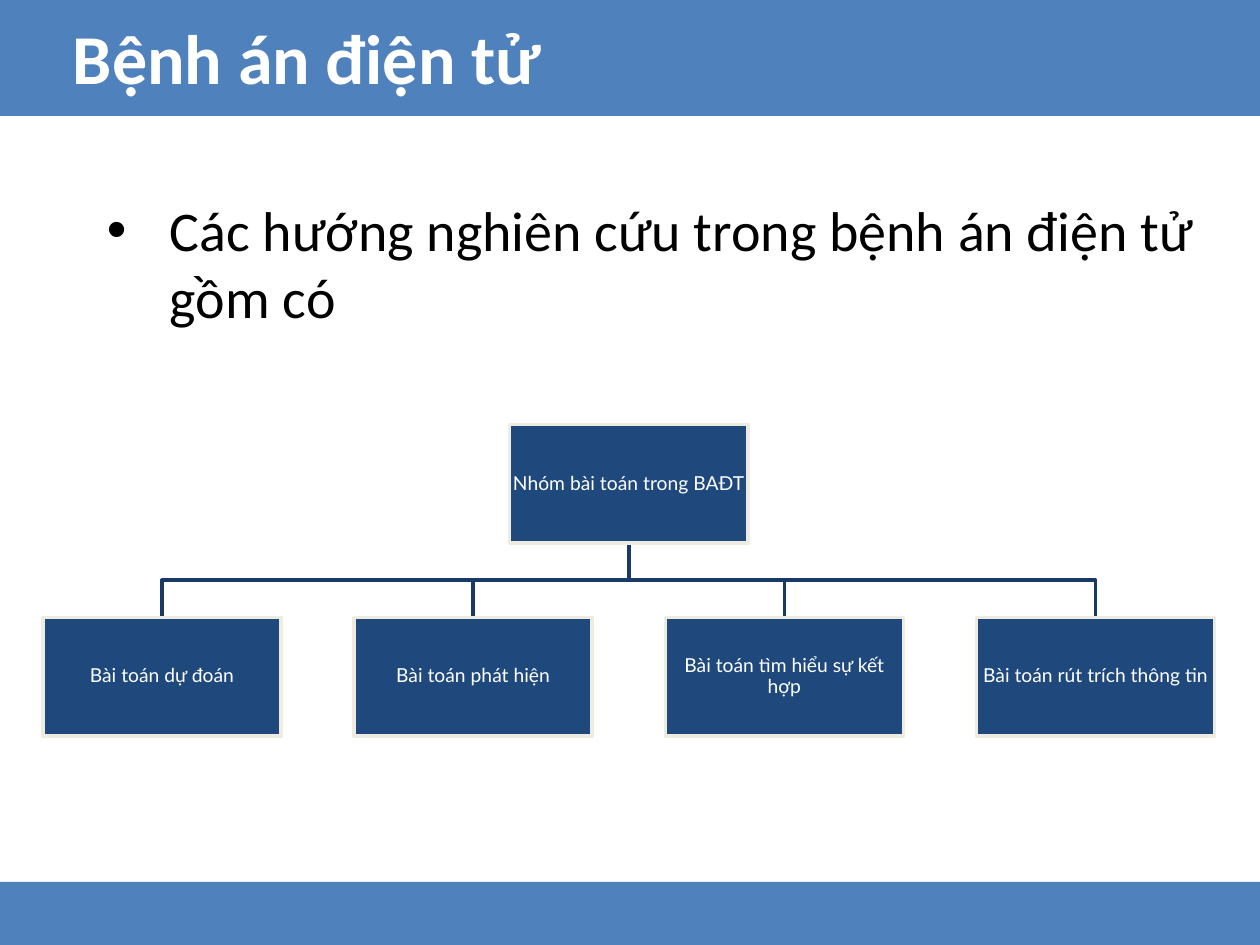
from lxml import etree
from pptx import Presentation
from pptx.dml.color import RGBColor
from pptx.enum.shapes import MSO_SHAPE
from pptx.enum.text import MSO_ANCHOR, PP_ALIGN
from pptx.oxml.ns import qn
from pptx.util import Inches, Pt

RECTANGLE = MSO_SHAPE.RECTANGLE
TOP, MIDDLE = MSO_ANCHOR.TOP, MSO_ANCHOR.MIDDLE
LEFT, CENTER = PP_ALIGN.LEFT, PP_ALIGN.CENTER

BLUE = RGBColor(0x4F, 0x81, 0xBD)
NAVY = RGBColor(0x1F, 0x49, 0x7D)
DARK_NAVY = RGBColor(0x19, 0x3A, 0x64)
CREAM = RGBColor(0xEE, 0xEC, 0xE1)
WHITE = RGBColor(0xFF, 0xFF, 0xFF)
BLACK = RGBColor(0x00, 0x00, 0x00)

WIDTH, HEIGHT = 10, 7.5

presentation = Presentation()
presentation.slide_width = Inches(WIDTH)
presentation.slide_height = Inches(HEIGHT)
slide = presentation.slides.add_slide(presentation.slide_layouts[6])


def add_rectangle(left, top, width, height, fill, line=None):
    shape = slide.shapes.add_shape(
        RECTANGLE, Inches(left), Inches(top), Inches(width), Inches(height))
    shape.shadow.inherit = False
    shape.fill.solid()
    shape.fill.fore_color.rgb = fill
    if line is None:
        shape.line.fill.background()
    else:
        shape.line.color.rgb = line
        shape.line.width = Pt(2)
    return shape


def write_text(shape, text, size, color, font="Calibri", bold=False,
               align=LEFT, anchor=TOP, wrap=True, inset=None, spacing=1.0):
    frame = shape.text_frame
    frame.word_wrap = wrap
    frame.vertical_anchor = anchor
    if inset is not None:
        frame.margin_left = frame.margin_right = Inches(inset)
        frame.margin_top = frame.margin_bottom = Inches(inset)
    paragraph = frame.paragraphs[0]
    paragraph.alignment = align
    paragraph.line_spacing = spacing
    run = paragraph.add_run()
    run.text = text
    run.font.name = font
    run.font.size = Pt(size)
    run.font.bold = bold
    run.font.color.rgb = color
    return paragraph


# Footer and header bands
add_rectangle(0, 7, WIDTH, HEIGHT - 7, BLUE)
add_rectangle(0, 0, WIDTH, 0.92, BLUE)

# Title
title = slide.shapes.add_textbox(
    Inches(0.48), Inches(0.07), Inches(4.02), Inches(0.77))
write_text(title, "Bệnh án điện tử", 40, WHITE, bold=True, wrap=False)

# Bulleted statement with a hanging indent
body = slide.shapes.add_textbox(
    Inches(0.75), Inches(1.5), Inches(9.04), Inches(5.25))
statement = write_text(
    body, "Các hướng nghiên cứu trong bệnh án điện tử gồm có", 32, BLACK)
statement.space_before = Pt(6.4)
properties = statement._p.get_or_add_pPr()
properties.set("marL", str(Inches(0.5)))
properties.set("indent", str(-Inches(0.5)))
etree.SubElement(properties, qn("a:buFont")).set("typeface", "Arial")
etree.SubElement(properties, qn("a:buChar")).set("char", "•")

# Tree grid: one root centred over four equally spaced topics
TOPICS = ["Bài toán dự đoán", "Bài toán phát hiện",
          "Bài toán tìm hiểu sự kết hợp", "Bài toán rút trích thông tin"]
BOX_WIDTH, BOX_HEIGHT = 1.89, 0.94
FIRST_LEFT, PITCH = 0.34, 2.47
ROOT_TOP, TOPIC_TOP = 3.37, 4.9
topic_lefts = [FIRST_LEFT + PITCH * column for column in range(len(TOPICS))]
root_left = (topic_lefts[0] + topic_lefts[-1]) / 2
root_center = root_left + BOX_WIDTH / 2
root_bottom = ROOT_TOP + BOX_HEIGHT
branch_level = (root_bottom + TOPIC_TOP) / 2

# Elbow branches from the root to each topic
for topic_left in reversed(topic_lefts):
    topic_center = topic_left + BOX_WIDTH / 2
    builder = slide.shapes.build_freeform(
        Inches(root_center), Inches(root_bottom))
    builder.add_line_segments(
        [(Inches(x), Inches(y)) for x, y in (
            (root_center, branch_level), (topic_center, branch_level),
            (topic_center, TOPIC_TOP))],
        close=False)
    branch = builder.convert_to_shape()
    branch.shadow.inherit = False
    branch.fill.background()
    branch.line.color.rgb = DARK_NAVY
    branch.line.width = Pt(2)

# Tree boxes
boxes = [("Nhóm bài toán trong BAĐT", root_left, ROOT_TOP)]
boxes += [(text, left, TOPIC_TOP) for text, left in zip(TOPICS, topic_lefts)]
for text, left, top in boxes:
    box = add_rectangle(left, top, BOX_WIDTH, BOX_HEIGHT, NAVY, CREAM)
    write_text(box, text, 11, WHITE, font="Lato", align=CENTER,
               anchor=MIDDLE, inset=0.01, spacing=0.9)

presentation.save("out.pptx")
